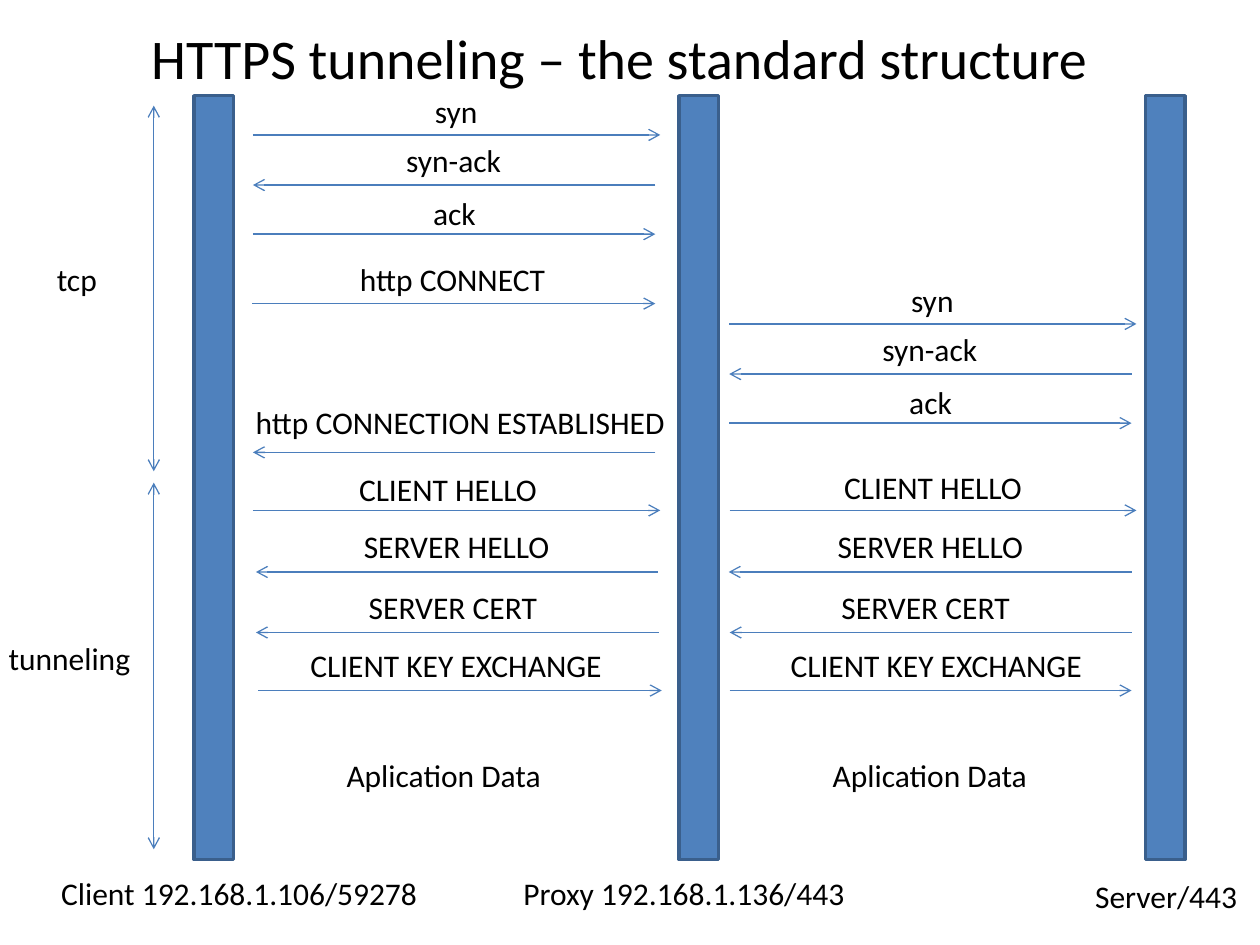
from dataclasses import dataclass, replace

import pptx
import pptx.dml.color
import pptx.enum.shapes
import pptx.enum.text
import pptx.oxml.ns
import pptx.util
from lxml import etree
from pptx.util import Cm

FONT = "Calibri"
BLACK, BAR_FILL, BAR_LINE, ARROW = "000000", "4F81BD", "3A5F8C", "4B7EBC"
LABEL_HEIGHT = 1.02
LANE_STEP, HANDSHAKE_DROP = 9.6, 3.81


@dataclass(frozen=True)
class Label:
    text: str
    left: float
    top: float
    width: float


@dataclass(frozen=True)
class Message:
    label: Label
    start: float
    end: float
    y: float


@dataclass(frozen=True)
class Phase:
    label: Label
    top: float
    bottom: float


HANDSHAKE = [
    Message(Label("syn", 8.51, 1.73, 1.37), 5.1, 13.31, 2.72),
    Message(Label("syn-ack", 7.9, 2.72, 2.49), 13.21, 5.1, 3.73),
    Message(Label("ack", 8.31, 3.78, 1.7), 5.1, 13.21, 4.72),
]
EXCHANGES = [
    Message(Label("http CONNECT", 6.98, 5.11, 4.29), 5.08, 13.21, 6.12),
    Message(Label("http CONNECTION ESTABLISHED", 4.85, 8, 8.86), 13.21, 5.1, 9.12),
    Message(Label("CLIENT HELLO", 6.96, 9.35, 4.14), 5.1, 13.31, 10.29),
    Message(Label("CLIENT HELLO", 16.74, 9.32, 4.14), 14.71, 22.91, 10.29),
    Message(Label("SERVER HELLO", 7.06, 10.49, 4.29), 13.26, 5.16, 11.53),
    Message(Label("SERVER HELLO", 16.61, 10.49, 4.29), 22.81, 14.69, 11.53),
    Message(Label("SERVER CERT", 7.16, 11.73, 3.94), 13.28, 5.16, 12.75),
    Message(Label("SERVER CERT", 16.69, 11.73, 3.94), 22.81, 14.71, 12.75),
    Message(Label("CLIENT KEY EXCHANGE", 5.97, 12.9, 6.45), 5.21, 13.34, 13.92),
    Message(Label("CLIENT KEY EXCHANGE", 15.65, 12.9, 6.45), 14.71, 22.81, 13.92),
]
PHASES = [
    Phase(Label("tcp", 0.89, 5.11, 1.32), 2.13, 9.5),
    Phase(Label("tunneling", -0.1, 12.75, 3), 9.73, 17.12),
]
CAPTIONS = [
    Label("Client 192.168.1.106/59278", 0.94, 17.5, 7.77),
    Label("Proxy 192.168.1.136/443", 10.26, 17.5, 7.06),
    Label("Server/443", 21.72, 17.55, 3.58),
    Label("Aplication Data", 6.71, 15.11, 4.47),
    Label("Aplication Data", 16.51, 15.11, 4.47),
]
BAR_LEFTS = [3.91, 13.69, 23.09]


def color(value: str) -> pptx.dml.color.RGBColor:
    return pptx.dml.color.RGBColor.from_string(value)


def write_text(box, text: str, size: int) -> None:
    frame = box.text_frame
    frame.text = text
    frame.word_wrap = False
    frame.auto_size = pptx.enum.text.MSO_AUTO_SIZE.SHAPE_TO_FIT_TEXT
    para = frame.paragraphs[0]
    para.alignment = pptx.enum.text.PP_ALIGN.CENTER
    for span in para.runs:
        span.font.name = FONT
        span.font.size = pptx.util.Pt(size)
        span.font.color.rgb = color(BLACK)


def draw_label(page, label: Label) -> None:
    box = page.shapes.add_textbox(
        Cm(label.left), Cm(label.top), Cm(label.width), Cm(LABEL_HEIGHT)
    )
    write_text(box, label.text, 18)


def draw_bar(page, left: float) -> None:
    bar = page.shapes.add_shape(
        pptx.enum.shapes.MSO_SHAPE.RECTANGLE, Cm(left), Cm(1.93), Cm(0.8), Cm(15.4)
    )
    bar.shadow.inherit = False
    bar.fill.solid()
    bar.fill.fore_color.rgb = color(BAR_FILL)
    bar.line.color.rgb = color(BAR_LINE)
    bar.line.width = pptx.util.Pt(2)


def draw_arrow(page, x1: float, y1: float, x2: float, y2: float, both: bool = False) -> None:
    arrow = page.shapes.add_connector(
        pptx.enum.shapes.MSO_CONNECTOR.STRAIGHT, Cm(x1), Cm(y1), Cm(x2), Cm(y2)
    )
    arrow.line.color.rgb = color(ARROW)
    arrow.line.width = pptx.util.Pt(0.75)
    line = arrow.line._get_or_add_ln()
    for end in ("headEnd", "tailEnd") if both else ("tailEnd",):
        etree.SubElement(line, pptx.oxml.ns.qn(f"a:{end}"), type="arrow")
    etree.SubElement(arrow._element.spPr, pptx.oxml.ns.qn("a:effectLst"))


def draw_message(page, message: Message) -> None:
    draw_arrow(page, message.start, message.y, message.end, message.y)
    draw_label(page, message.label)


def draw_phase(page, phase: Phase) -> None:
    draw_arrow(page, 3.1, phase.top, 3.1, phase.bottom, both=True)
    draw_label(page, phase.label)


def to_server_lane(message: Message) -> Message:
    label = message.label
    return Message(
        replace(label, left=label.left + LANE_STEP, top=label.top + HANDSHAKE_DROP),
        message.start + LANE_STEP,
        message.end + LANE_STEP,
        message.y + HANDSHAKE_DROP,
    )


def main() -> None:
    deck = pptx.Presentation()
    deck.slide_width, deck.slide_height = Cm(25.4), Cm(19.05)
    page = deck.slides.add_slide(deck.slide_layouts[5])
    title = page.shapes.title
    title.left, title.top, title.width, title.height = Cm(2.69), Cm(0.33), Cm(19.61), Cm(1.63)
    write_text(title, "HTTPS tunneling – the standard structure", 32)
    for left in BAR_LEFTS:
        draw_bar(page, left)
    for message in HANDSHAKE + [to_server_lane(step) for step in HANDSHAKE] + EXCHANGES:
        draw_message(page, message)
    for phase in PHASES:
        draw_phase(page, phase)
    for caption in CAPTIONS:
        draw_label(page, caption)
    deck.save("out.pptx")


if __name__ == "__main__":
    main()
